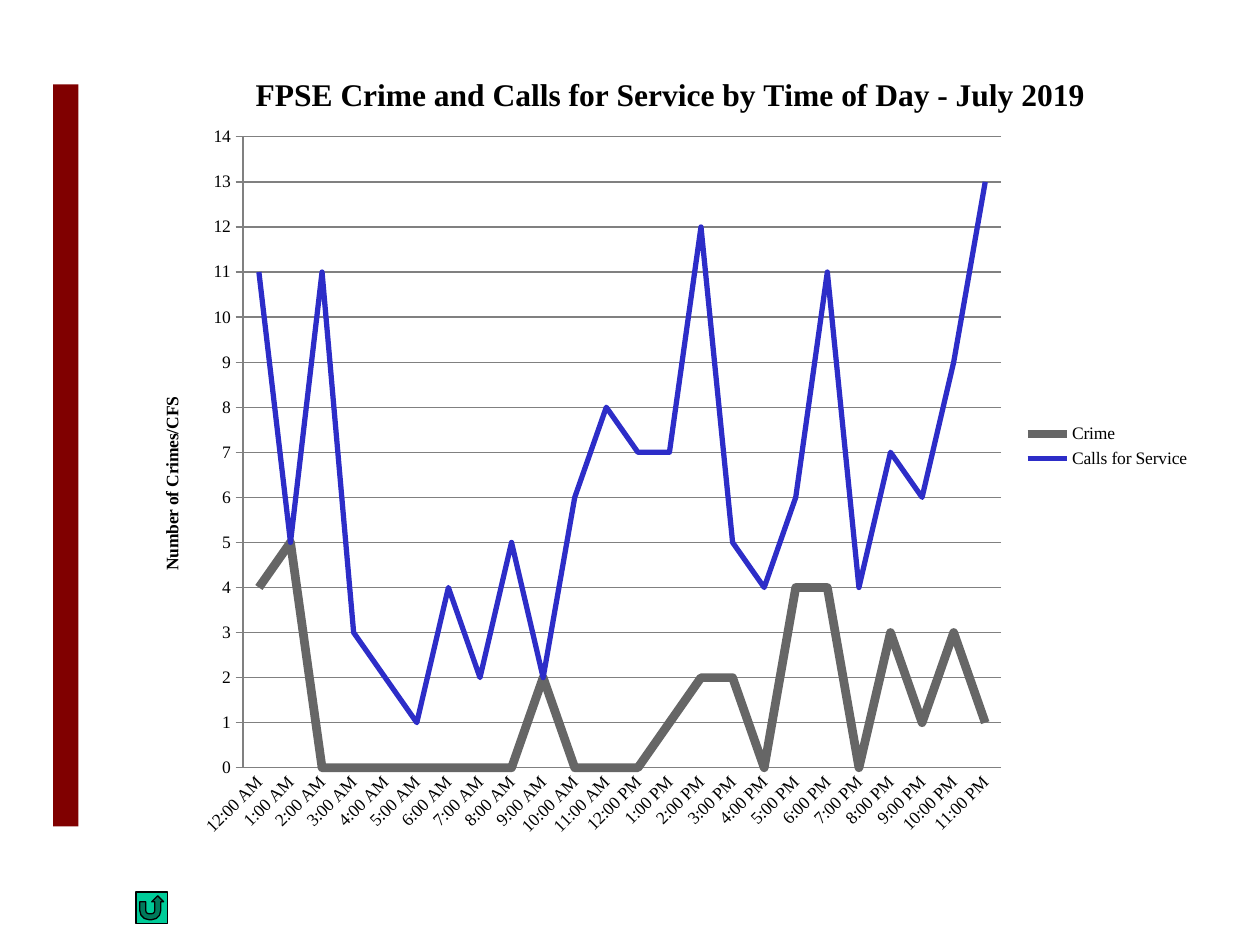
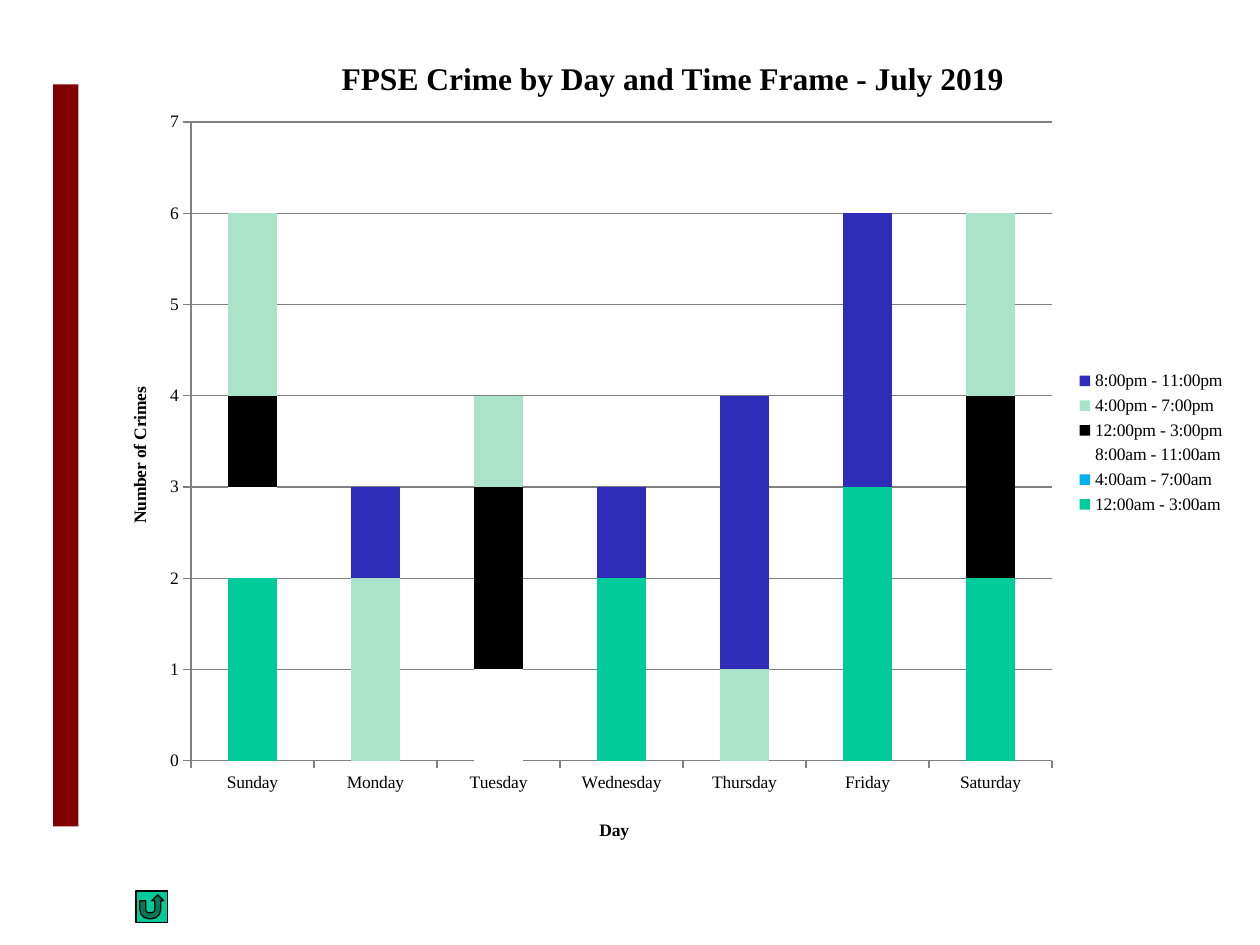
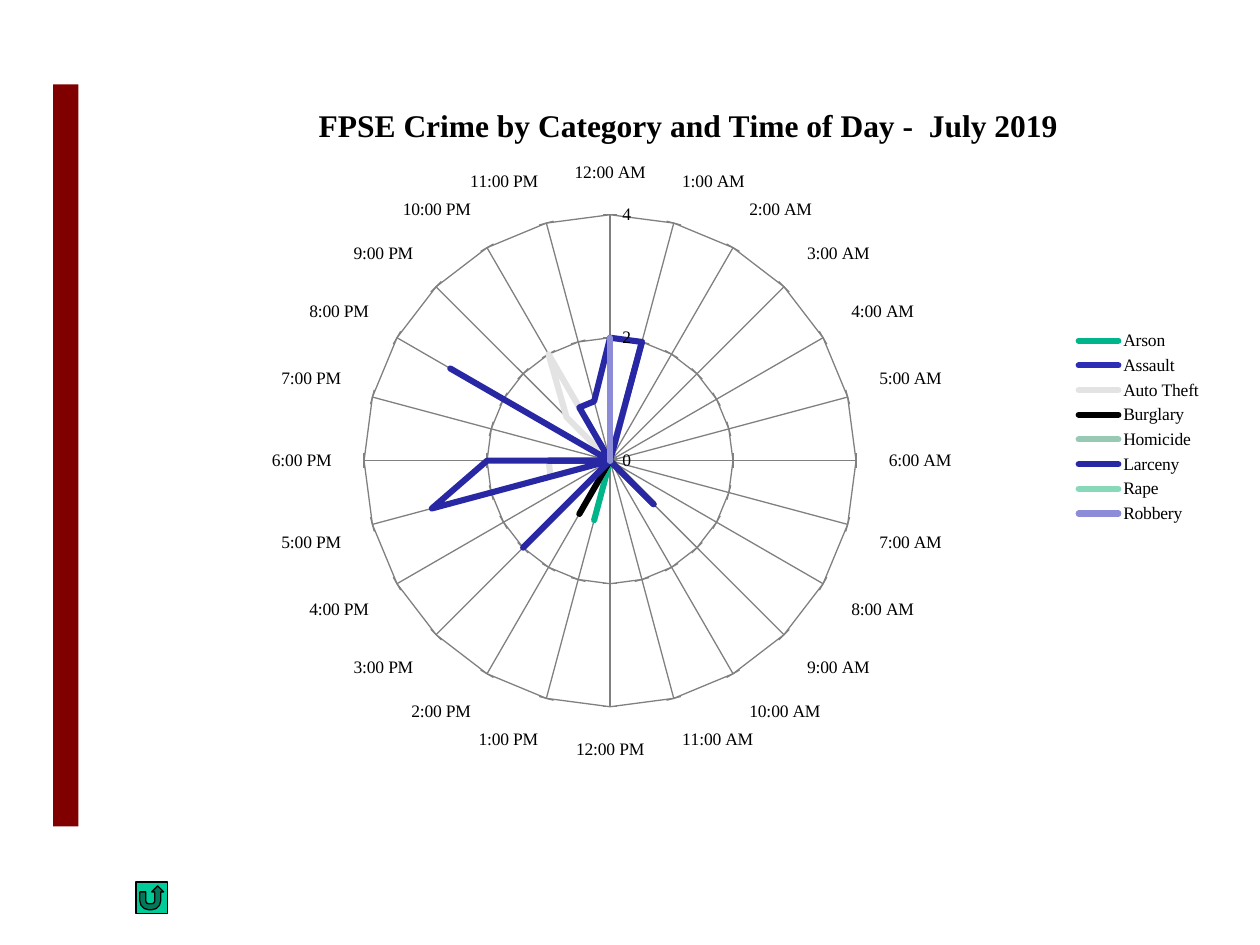
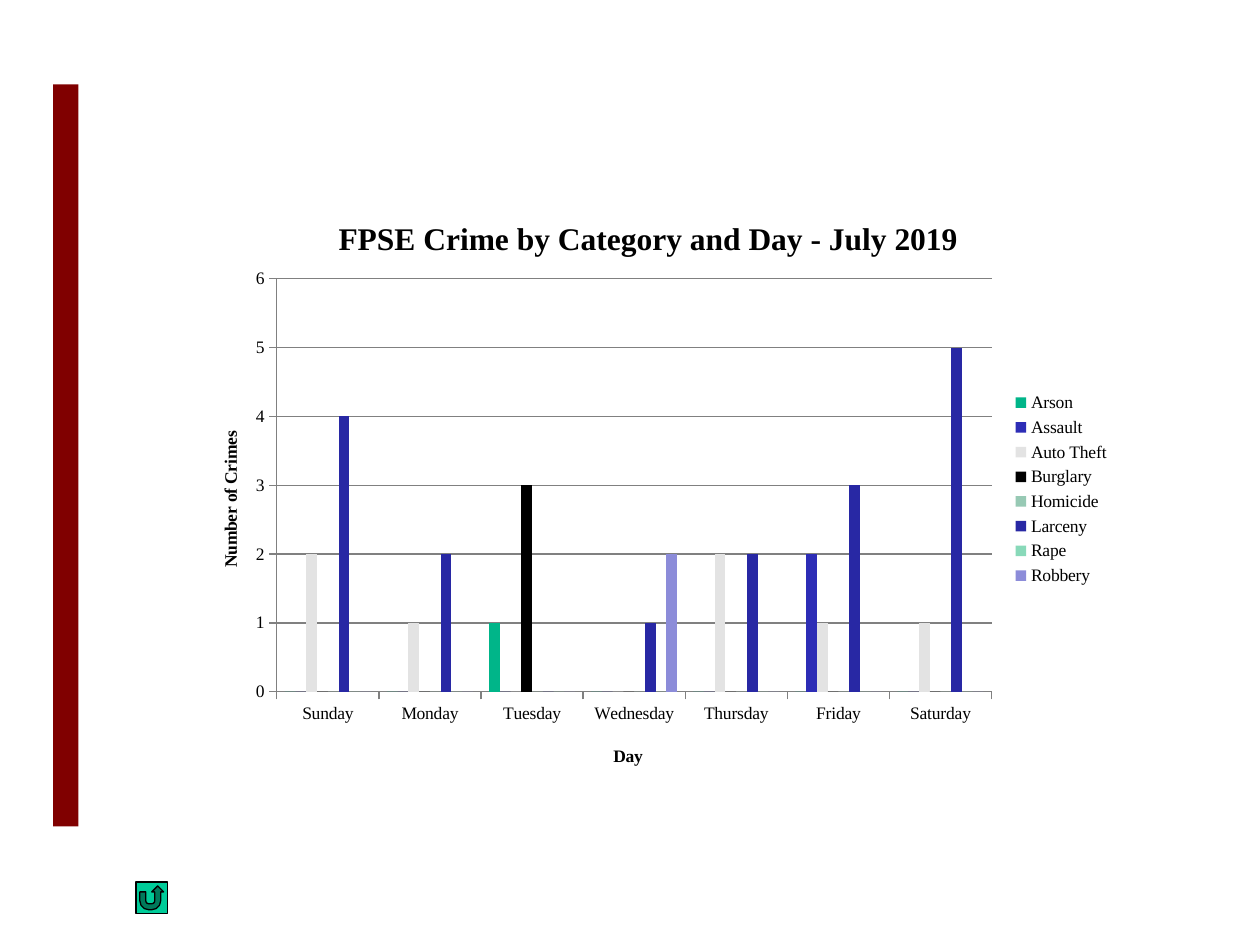
from dataclasses import dataclass

from lxml import etree
from pptx import Presentation
from pptx import util as u
from pptx.chart import data as cd
from pptx.dml.color import RGBColor
from pptx.enum import chart as ec, shapes
from pptx.oxml.ns import qn

Cm, Pt = u.Cm, u.Pt


@dataclass(frozen=True)
class Theme:
    font: str = "Times New Roman"
    title_size: float = 18
    text_size: float = 10
    hairline: float = 0.75
    ink: str = "000000"
    paper: str = "FFFFFF"
    band: str = "800000"
    button: str = "00CC99"
    grid: str = "808080"
    crime: str = "666666"
    calls: str = "2D2DC8"
    periods: tuple = ("00CC99", "00B0F0", "FFFFFF", "000000", "AAE2CA", "2D2DB9")
    categories: tuple = ("00B589", "2D2DB6", "E3E3E3", "000000",
                         "97C9B4", "2828A4", "88D9B9", "8C8CD9")


def rgb(value):
    return RGBColor.from_string(value)


def hourly(counts):
    """Expand {hour: count} to all 24 hours."""
    return [counts.get(hour, 0) for hour in range(24)]


class Deck:
    def __init__(self, theme):
        self.theme = theme
        self.prs = Presentation()
        self.prs.slide_width, self.prs.slide_height = Cm(25.4), Cm(19.05)
        self.slide = None

    # Page frame: side band and return button
    def new_slide(self, button_top):
        t = self.theme
        self.slide = self.prs.slides.add_slide(self.prs.slide_layouts[6])
        self.slide.background.fill.solid()
        self.slide.background.fill.fore_color.rgb = rgb(t.paper)
        self.shape(shapes.MSO_SHAPE.RECTANGLE, (1.07, 1.7, 0.51, 14.96), t.band)
        self.shape(shapes.MSO_SHAPE.ACTION_BUTTON_RETURN,
                   (2.74, button_top, 0.64, 0.64), t.button, t.ink)

    def shape(self, kind, box, fill, line=None):
        sp = self.slide.shapes.add_shape(kind, *map(Cm, box))
        sp.shadow.inherit = False
        sp.fill.solid()
        sp.fill.fore_color.rgb = rgb(fill)
        if line:
            self.stroke(sp.line, line, self.theme.hairline)
        else:
            sp.line.fill.background()

    # Chart with its title and legend; all positions are slide centimetres
    def chart(self, kind, box, cats, series, plot, title, title_at, legend_at):
        data = cd.CategoryChartData()
        data.categories = cats
        for name, values in series.items():
            data.add_series(name, values)
        ch = self.slide.shapes.add_chart(kind, *map(Cm, box), data).chart
        self.style_font(ch.font, self.theme.text_size)
        ch.plots[0].vary_by_categories = False
        ch.has_title = True
        self.add_heading(ch.chart_title.text_frame, title, self.theme.title_size)
        ch.has_legend = True
        ch.legend.position = ec.XL_LEGEND_POSITION.RIGHT
        ch.legend.include_in_layout = False
        self.place(ch.element.find(".//" + qn("c:plotArea")), box, plot)
        self.place(ch.chart_title.element, box, title_at, "c:tx")
        self.place(ch.element.find(".//" + qn("c:legend")), box, legend_at, "c:legendPos")
        return ch

    def place(self, parent, box, at, after=None):
        """Give a chart part a manual layout, as fractions of the chart box."""
        for old in parent.findall(qn("c:layout")):
            parent.remove(old)
        layout = etree.Element(qn("c:layout"))
        manual = etree.SubElement(layout, qn("c:manualLayout"))
        settings = [("xMode", "edge"), ("yMode", "edge"),
                    ("x", (at[0] - box[0]) / box[2]), ("y", (at[1] - box[1]) / box[3])]
        if len(at) == 4:
            settings.insert(0, ("layoutTarget", "inner"))
            settings += [("w", at[2] / box[2]), ("h", at[3] / box[3])]
        for tag, value in settings:
            setting = value if isinstance(value, str) else f"{value:.4f}"
            etree.SubElement(manual, qn("c:" + tag)).set("val", setting)
        if after:
            parent.find(qn(after)).addnext(layout)
        else:
            parent.insert(0, layout)

    def style_font(self, font, size, bold=False):
        font.name, font.size, font.bold = self.theme.font, Pt(size), bold
        font.color.rgb = rgb(self.theme.ink)

    def add_heading(self, tf, words, size):
        r = tf.paragraphs[0].add_run()
        r.text = words
        self.style_font(r.font, size, bold=True)

    def stroke(self, line, color, width):
        line.color.rgb = rgb(color)
        line.width = Pt(width)

    def axes(self, ch, top, step=1, cat_ticks=True):
        t, tick = self.theme, ec.XL_TICK_MARK
        val, cat = ch.value_axis, ch.category_axis
        val.minimum_scale, val.maximum_scale, val.major_unit = 0, top, step
        val.has_major_gridlines = True
        self.stroke(val.major_gridlines.format.line, t.grid, t.hairline)
        for axis, ticks in ((val, True), (cat, cat_ticks)):
            axis.major_tick_mark = tick.OUTSIDE if ticks else tick.NONE
            axis.minor_tick_mark = tick.NONE
            self.stroke(axis.format.line, t.grid, t.hairline)
            self.style_font(axis.tick_labels.font, t.text_size)

    def axis_title(self, axis, words, box, at, upright=False):
        self.add_heading(axis.axis_title.text_frame, words, self.theme.text_size)
        if upright:
            body = axis.axis_title.element.find(".//" + qn("a:bodyPr"))
            body.set("rot", "-5400000")
            body.set("vert", "horz")
        self.place(axis.axis_title.element, box, at, "c:tx")

    def lines(self, ch, colors, widths):
        for s, color, width in zip(ch.plots[0].series, colors, widths):
            self.stroke(s.format.line, color, width)
            s.marker.style = ec.XL_MARKER_STYLE.NONE
            if ch.chart_type == ec.XL_CHART_TYPE.LINE:
                s.smooth = False

    def columns(self, ch, colors, overlap):
        ch.plots[0].gap_width, ch.plots[0].overlap = 150, overlap
        for s, color in zip(ch.plots[0].series, colors):
            s.format.fill.solid()
            s.format.fill.fore_color.rgb = rgb(color)


HOURS = [f"{h % 12 or 12}:00 {'AM' if h < 12 else 'PM'}" for h in range(24)]
DAYS = ["Sunday", "Monday", "Tuesday", "Wednesday", "Thursday", "Friday", "Saturday"]


def time_of_day(deck):
    t, box = deck.theme, (2.54, 0.84, 21.74, 16.33)
    deck.new_slide(17.98)
    ch = deck.chart(
        ec.XL_CHART_TYPE.LINE, box, HOURS,
        {"Crime": [4, 5, 0, 0, 0, 0, 0, 0, 0, 2, 0, 0,
                   0, 1, 2, 2, 0, 4, 4, 0, 3, 1, 3, 1],
         "Calls for Service": [11, 5, 11, 3, 2, 1, 4, 2, 5, 2, 6, 8,
                               7, 7, 12, 5, 4, 6, 11, 4, 7, 6, 9, 13]},
        plot=(4.9, 2.76, 15.28, 12.72),
        title="FPSE Crime and Calls for Service by Time of Day - July 2019",
        title_at=(5.04, 1.39), legend_at=(20.6, 8.45))
    deck.axes(ch, top=14, cat_ticks=False)
    deck.axis_title(ch.value_axis, "Number of Crimes/CFS", box, (3.17, 7.94), upright=True)
    deck.lines(ch, (t.crime, t.calls), (5, 3))
    # Slanted hour labels
    labels = ch.category_axis.tick_labels.font
    labels.bold = False
    axis = ch.element.find(".//" + qn("c:catAx"))
    axis.find(qn("c:txPr")).find(qn("a:bodyPr")).set("rot", "-2700000")


def day_and_time_frame(deck):
    box = (1.91, 0.51, 23.06, 16.84)
    deck.new_slide(17.96)
    ch = deck.chart(
        ec.XL_CHART_TYPE.COLUMN_STACKED, box, DAYS,
        {"12:00am - 3:00am": [2, 0, 0, 2, 0, 3, 2],
         "4:00am - 7:00am": [0] * 7,
         "8:00am - 11:00am": [1, 0, 1, 0, 0, 0, 0],
         "12:00pm - 3:00pm": [1, 0, 2, 0, 0, 0, 2],
         "4:00pm - 7:00pm": [2, 2, 1, 0, 1, 0, 2],
         "8:00pm - 11:00pm": [0, 1, 0, 1, 3, 3, 0]},
        plot=(3.85, 2.46, 17.36, 12.88),
        title="FPSE Crime by Day and Time Frame - July 2019",
        title_at=(6.77, 1.07), legend_at=(21.65, 7.38))
    deck.axes(ch, top=7)
    deck.axis_title(ch.value_axis, "Number of Crimes", box, (2.52, 7.74), upright=True)
    deck.axis_title(ch.category_axis, "Day", box, (12.02, 16.43))
    deck.columns(ch, deck.theme.periods, overlap=100)


def category_and_time(deck):
    t = deck.theme
    deck.new_slide(17.78)
    counts = {
        "Arson": {13: 1},
        "Assault": {1: 2},
        "Auto Theft": {1: 1, 14: 1, 17: 1, 18: 1, 21: 1, 22: 2},
        "Burglary": {9: 1, 14: 1, 18: 1},
        "Homicide": {},
        "Larceny": {0: 2, 1: 2, 9: 1, 15: 2, 17: 3, 18: 2, 20: 3, 22: 1, 23: 1},
        "Rape": {},
        "Robbery": {0: 2},
    }
    ch = deck.chart(
        ec.XL_CHART_TYPE.RADAR, (3.02, 1.47, 21.49, 14.3), HOURS,
        {name: hourly(hits) for name, hits in counts.items()},
        plot=(7.34, 4.33, 9.92, 9.92),
        title="FPSE Crime by Category and Time of Day -  July 2019",
        title_at=(6.31, 2.02), legend_at=(21.63, 6.57))
    deck.axes(ch, top=4, step=2)
    deck.stroke(ch.category_axis.major_gridlines.format.line, t.grid, t.hairline)
    deck.lines(ch, t.categories, [3.5] * len(counts))
    # Round line ends
    for ser in ch.element.iter(qn("c:ser")):
        ser.find(qn("c:spPr")).find(qn("a:ln")).set("cap", "rnd")


def category_and_day(deck):
    box = (3.73, 3.86, 18.92, 12.01)
    deck.new_slide(17.78)
    ch = deck.chart(
        ec.XL_CHART_TYPE.COLUMN_CLUSTERED, box, DAYS,
        {"Arson": [0, 0, 1, 0, 0, 0, 0],
         "Assault": [0, 0, 0, 0, 0, 2, 0],
         "Auto Theft": [2, 1, 0, 0, 2, 1, 1],
         "Burglary": [0, 0, 3, 0, 0, 0, 0],
         "Homicide": [0] * 7,
         "Larceny": [4, 2, 0, 1, 2, 3, 5],
         "Rape": [0] * 7,
         "Robbery": [0, 0, 0, 2, 0, 0, 0]},
        plot=(5.58, 5.62, 14.41, 8.33),
        title="FPSE Crime by Category and Day - July 2019",
        title_at=(6.71, 4.31), legend_at=(20.36, 7.82))
    deck.axes(ch, top=6)
    deck.axis_title(ch.value_axis, "Number of Crimes", box, (4.35, 8.63), upright=True)
    deck.axis_title(ch.category_axis, "Day", box, (12.3, 14.94))
    deck.columns(ch, deck.theme.categories, overlap=0)


def main():
    deck = Deck(Theme())
    for build in (time_of_day, day_and_time_frame, category_and_time, category_and_day):
        build(deck)
    deck.prs.save("out.pptx")


if __name__ == "__main__":
    main()
